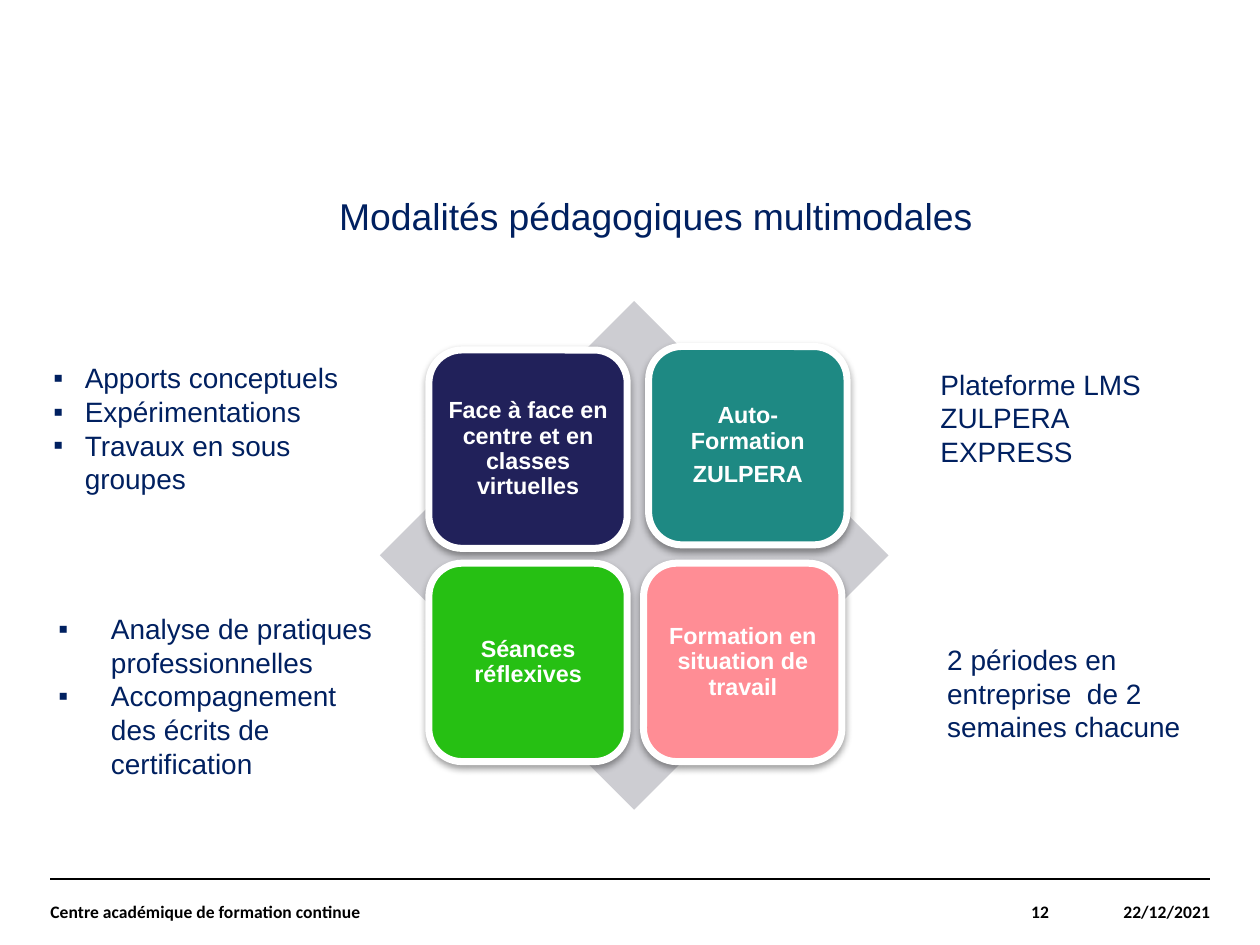
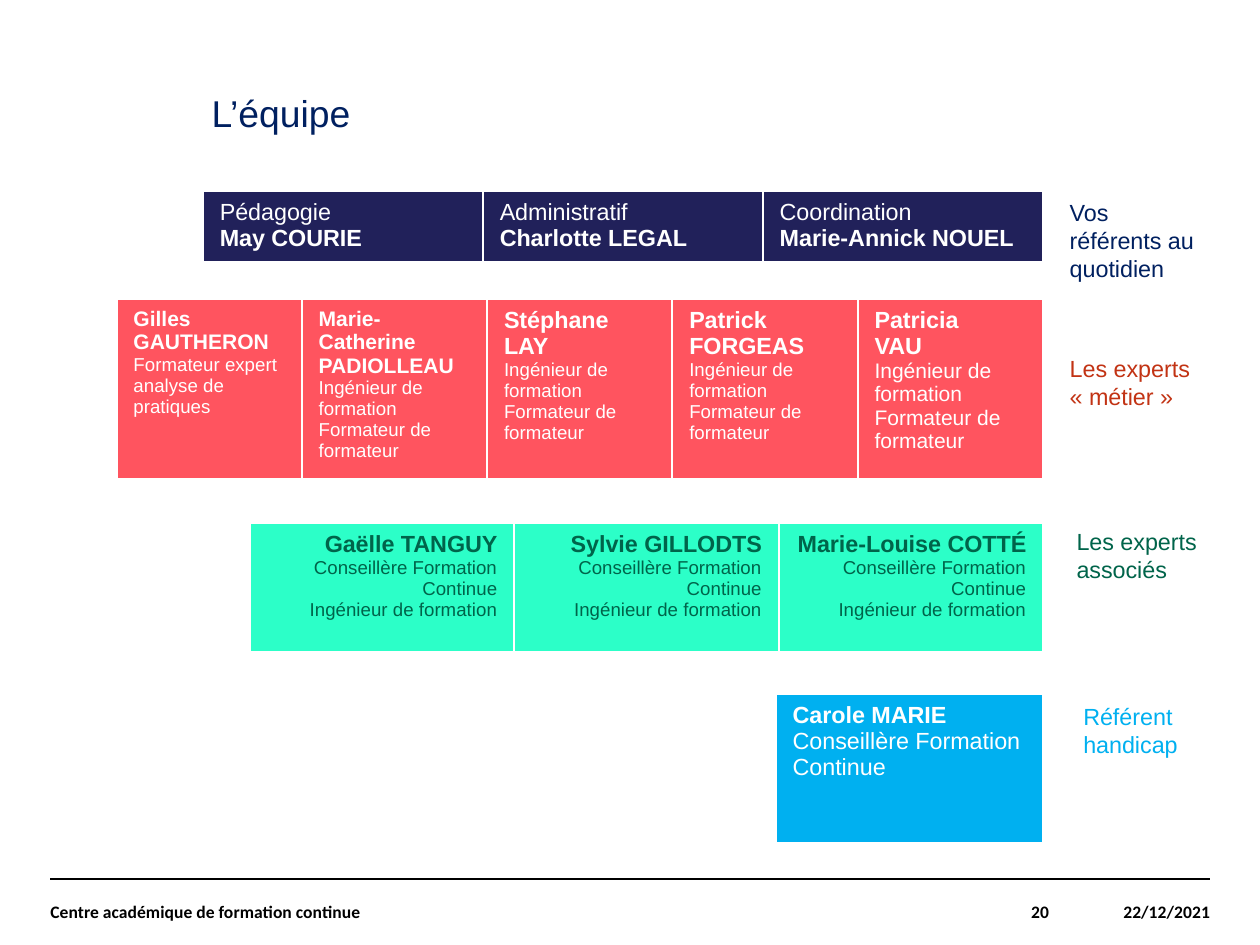
from collections import namedtuple

from lxml.etree import SubElement
from pptx import Presentation
from pptx.dml.color import RGBColor
from pptx.enum.shapes import MSO_CONNECTOR, MSO_SHAPE
from pptx.enum.text import MSO_ANCHOR as Anchor, PP_ALIGN as Align
from pptx.oxml.ns import qn
from pptx.util import Emu, Pt

BLACK = RGBColor(0x00, 0x00, 0x00)
WHITE = RGBColor(0xFF, 0xFF, 0xFF)
NAVY = RGBColor(0x00, 0x20, 0x60)
INDIGO = RGBColor(0x21, 0x21, 0x5A)
TEAL = RGBColor(0x1E, 0x89, 0x83)
GREEN = RGBColor(0x26, 0xC0, 0x13)
PINK = RGBColor(0xFF, 0x8D, 0x95)
GREY = RGBColor(0xCD, 0xCD, 0xD2)
CORAL = RGBColor(0xFF, 0x54, 0x5F)
RUST = RGBColor(0xC2, 0x33, 0x14)
MINT = RGBColor(0x2C, 0xFF, 0xC8)
FOREST = RGBColor(0x00, 0x64, 0x4A)
SKY = RGBColor(0x00, 0xB0, 0xF0)

Box = namedtuple("Box", "left top width height")
Line = namedtuple("Line", "text size bold")

PAGE = Box(0, 0, 540, 405)
FOOTER = Box(21.6, 376.8, 497, 28)
TILE_SIDE = 85


def points(box):
    return [Pt(value) for value in box]


def add_bullet(para, indent):
    props = para._p.get_or_add_pPr()
    props.set("marL", str(Pt(indent)))
    props.set("indent", str(-Pt(indent)))
    SubElement(props, qn("a:buFont")).set("typeface", "Arial")
    SubElement(props, qn("a:buChar")).set("char", "▪")


def write_text(frame, lines, size=12, color=NAVY, font="Arial", bold=False,
               align=Align.LEFT, spacing=None, gap=0, bullet=0):
    """Fill a frame with one paragraph per line; a Line brings its own size and weight."""
    for index, line in enumerate(lines):
        if isinstance(line, str):
            line = Line(line, size, bold)
        para = frame.add_paragraph() if index else frame.paragraphs[0]
        para.alignment = align
        if spacing:
            para.line_spacing = spacing
        if gap and index:
            para.space_before = Pt(gap)
        if bullet:
            add_bullet(para, bullet)
        span = para.add_run()
        span.text = line.text
        span.font.name = font
        span.font.size = Pt(line.size)
        span.font.bold = line.bold
        span.font.color.rgb = color


def set_frame(frame, anchor, inset=None):
    frame.word_wrap = True
    frame.vertical_anchor = anchor
    if inset is not None:
        frame.margin_left = frame.margin_right = Pt(inset)
        frame.margin_top = frame.margin_bottom = Pt(inset)


def add_text(page, box, lines, anchor=Anchor.TOP, inset=None, **style):
    frame = page.shapes.add_textbox(*points(box)).text_frame
    set_frame(frame, anchor, inset)
    write_text(frame, lines, **style)


def add_title(page, box, text):
    add_text(page, box, [text], inset=0, size=16, spacing=0.9)


def add_footer(page, box, number):
    right = box.left + box.width
    rule = page.shapes.add_connector(MSO_CONNECTOR.STRAIGHT, Pt(box.left), Pt(box.top),
                                     Pt(right), Pt(box.top))
    rule.line.color.rgb = BLACK
    rule.line.width = Pt(0.8)
    SubElement(rule.element.spPr, qn("a:effectLst"))
    for text, left, width, align in (
            ("Centre académique de formation continue", box.left, 348, Align.LEFT),
            (number, right - 149, 80, Align.RIGHT),
            ("22/12/2021", right - 69, 69, Align.RIGHT)):
        add_text(page, Box(left, box.top, width, box.height), [text], Anchor.MIDDLE, 0,
                 size=7.5, color=BLACK, font="Calibri", bold=True, align=align)


def add_page(deck, number, title, title_box):
    page = deck.slides.add_slide(deck.slide_layouts[6])
    add_title(page, title_box, title)
    add_footer(page, FOOTER, number)
    return page


def add_filled(page, preset, box, fill):
    shape = page.shapes.add_shape(preset, *points(box))
    shape.shadow.inherit = False
    shape.fill.solid()
    shape.fill.fore_color.rgb = fill
    shape.line.fill.background()
    return shape


def add_soft_shadow(shape):
    effects = shape.element.spPr.find(qn("a:effectLst"))
    shadow = SubElement(effects, qn("a:outerShdw"), blurRad=str(Pt(3.1)), dist=str(Pt(1.6)),
                        dir="5400000", rotWithShape="0")
    color = SubElement(shadow, qn("a:srgbClr"), val=str(BLACK))
    SubElement(color, qn("a:alpha"), val="38000")


def add_matrix(page, box, tiles):
    """Draw a diamond with tiles on it, each at an offset from the corner of the box."""
    add_filled(page, MSO_SHAPE.DIAMOND, box, GREY)
    for lines, fill, across, down in tiles:
        tile_box = Box(box.left + across, box.top + down, TILE_SIDE, TILE_SIDE)
        tile = add_filled(page, MSO_SHAPE.ROUNDED_RECTANGLE, tile_box, fill)
        tile.line.color.rgb = WHITE
        tile.line.width = Pt(3)
        add_soft_shadow(tile)
        set_frame(tile.text_frame, Anchor.MIDDLE, 2.9)
        write_text(tile.text_frame, lines, size=10, color=WHITE, bold=True,
                   align=Align.CENTER, spacing=0.9, gap=3.5)


def set_borders(cell):
    props = cell._tc.get_or_add_tcPr()
    for side, width in (("lnL", 1), ("lnR", 1), ("lnT", 1), ("lnB", 3)):
        border = SubElement(props, qn(f"a:{side}"), w=str(Pt(width)))
        fill = SubElement(border, qn("a:solidFill"))
        SubElement(fill, qn("a:srgbClr"), val=str(WHITE))


def add_team(page, box, members, fill, **style):
    """Draw a one-row table with a cell of equal width for each member."""
    table = page.shapes.add_table(1, len(members), *points(box)).table
    table.first_row = table.horz_banding = False
    table.rows[0].height = Pt(box.height)
    for column, cell, lines in zip(table.columns, table.rows[0].cells, members):
        column.width = Emu(Pt(box.width) // len(members))
        set_borders(cell)
        cell.fill.solid()
        cell.fill.fore_color.rgb = fill
        write_text(cell.text_frame, lines, **style)


def member(name, *roles, name_size=10, role_size=8):
    return [Line(name, name_size, True)] + [Line(role, role_size, False) for role in roles]


def build_methods(deck):
    page = add_page(deck, "12", "Modalités pédagogiques multimodales", Box(145.4, 85, 390, 28))
    add_matrix(page, Box(162.8, 129, 218, 218), [
        (["Face à face en centre et en classes virtuelles"], INDIGO, 21, 21),
        (["Auto-Formation", "ZULPERA"], TEAL, 115.2, 19.5),
        (["Séances réflexives"], GREEN, 21, 112.4),
        (["Formation en situation de travail"], PINK, 113, 112.4),
    ])
    for box, lines, bullet in (
            (Box(15.8, 151, 143.5, 65),
             ["Apports conceptuels", "Expérimentations", "Travaux en sous groupes"], 13.5),
            (Box(18, 265.7, 153.4, 65),
             ["Analyse de pratiques professionnelles",
              "Accompagnement des écrits de certification"], 22.5),
            (Box(396, 146.5, 124.6, 65), ["Plateforme LMS", "ZULPERA EXPRESS"], 0),
            (Box(398.9, 264.5, 124.6, 65),
             ["2 périodes en entreprise  de 2 semaines chacune"], 0)):
        add_text(page, box, lines, Anchor.MIDDLE, bullet=bullet)


def build_team(deck):
    page = add_page(deck, "20", "L’équipe", Box(90.7, 41, 134.6, 57))
    engineer, trainer = "Ingénieur de formation", "Formateur de formateur"
    adviser = "Conseillère Formation Continue"

    contacts = [[role, Line(name, 10, True)] for role, name in (
        ("Pédagogie", "May COURIE"),
        ("Administratif", "Charlotte LEGAL"),
        ("Coordination", "Marie-Annick NOUEL"))]
    experts = [
        member("Gilles GAUTHERON", "Formateur expert analyse de pratiques", name_size=9),
        member("Marie-Catherine PADIOLLEAU", engineer, trainer, name_size=9),
        member("Stéphane LAY", engineer, trainer),
        member("Patrick FORGEAS", engineer, trainer),
        [Line("Patricia", 10, True)] + member("VAU", engineer, trainer, role_size=9),
    ]
    partners = [member(name, adviser, engineer) for name in (
        "Gaëlle TANGUY", "Sylvie GILLODTS", "Marie-Louise COTTÉ")]
    disability = [member("Carole MARIE", adviser, role_size=10)]

    right = 447
    for members, top, width, height, fill, color, align in (
            (contacts, 82, 360, 30.5, INDIGO, WHITE, Align.LEFT),
            (experts, 128, 397, 76.5, CORAL, WHITE, Align.LEFT),
            (partners, 224, 340, 56.5, MINT, FOREST, Align.RIGHT),
            (disability, 297.5, 114.5, 64.5, SKY, WHITE, Align.LEFT)):
        add_team(page, Box(right - width, top, width, height), members, fill,
                 size=10, color=color, align=align)

    for text, left, top, height, color in (
            ("Vos référents au quotidien", 451.4, 81.4, 44, NAVY),
            ("Les experts « métier »", 451.4, 148.4, 32, RUST),
            ("Les experts associés", 454.3, 222.5, 32, FOREST),
            ("Référent handicap", 457.2, 297.4, 32, SKY)):
        add_text(page, Box(left, top, 67.7, height), [text], size=10, color=color)


def main():
    deck = Presentation()
    deck.slide_width, deck.slide_height = Pt(PAGE.width), Pt(PAGE.height)
    build_methods(deck)
    build_team(deck)
    deck.save("out.pptx")


if __name__ == "__main__":
    main()
